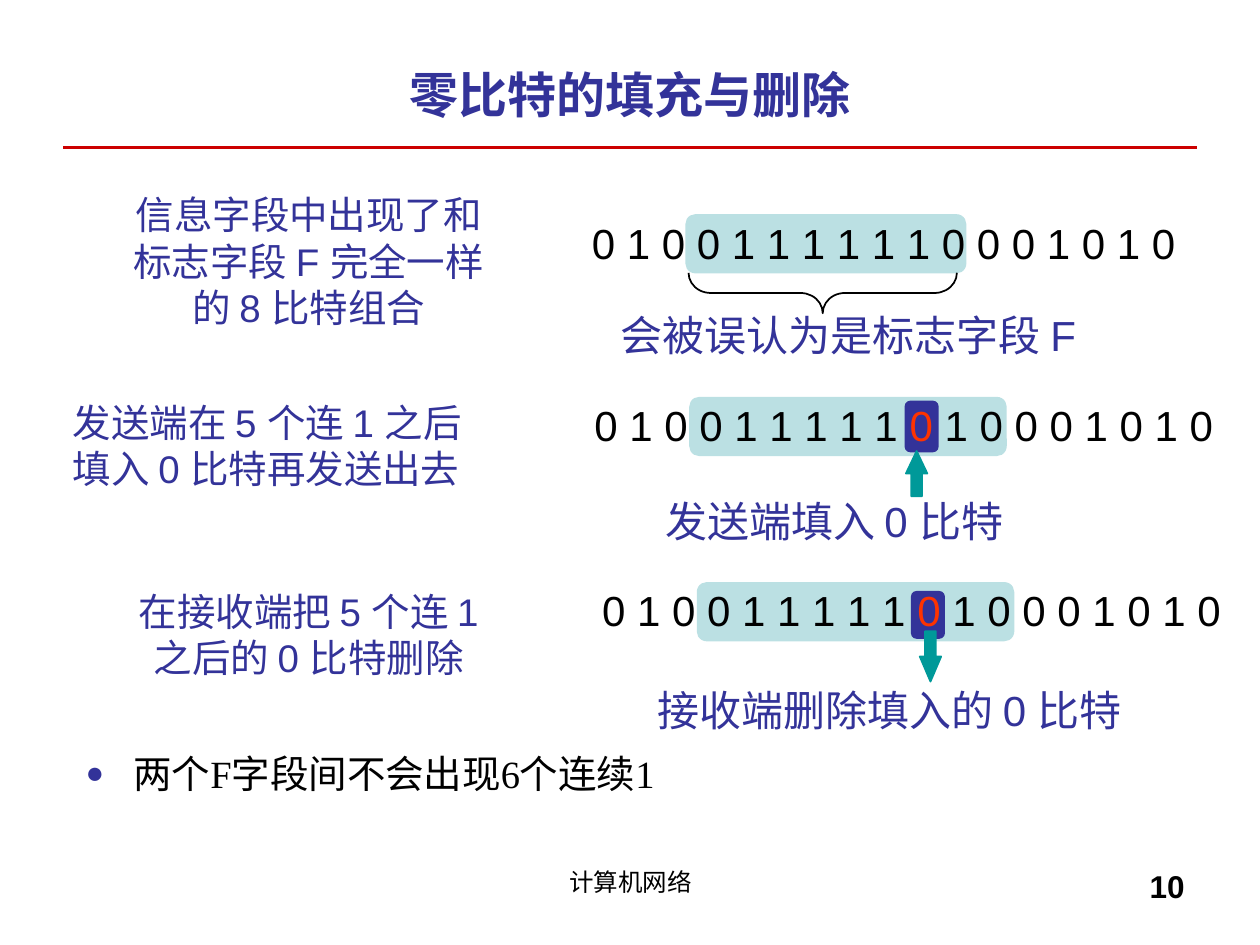
from dataclasses import dataclass
from typing import Optional

from lxml import etree
from pptx import Presentation
from pptx.dml.color import RGBColor
from pptx.enum.shapes import MSO_CONNECTOR, MSO_SHAPE
from pptx.enum.text import MSO_ANCHOR, MSO_AUTO_SIZE, PP_ALIGN
from pptx.oxml.ns import qn
from pptx.util import Inches, Pt

LEFT, CENTER, RIGHT = PP_ALIGN.LEFT, PP_ALIGN.CENTER, PP_ALIGN.RIGHT
MIDDLE = MSO_ANCHOR.MIDDLE
FIXED = MSO_AUTO_SIZE.NONE
ROUNDED, BRACE = MSO_SHAPE.ROUNDED_RECTANGLE, MSO_SHAPE.LEFT_BRACE
UP, DOWN = MSO_SHAPE.UP_ARROW, MSO_SHAPE.DOWN_ARROW
STRAIGHT = MSO_CONNECTOR.STRAIGHT


@dataclass(frozen=True)
class Theme:
    navy: str = "333399"
    black: str = "000000"
    red: str = "CC0000"
    orange: str = "FF3300"
    teal: str = "009999"
    pale: str = "BBE0E3"
    sans: str = "Arial"
    serif: str = "Times New Roman"
    title: int = 28
    bits: int = 24
    body: int = 22
    number: int = 18
    footer: int = 14


@dataclass(frozen=True)
class Area:
    left: float
    top: float
    width: float
    height: float

    def lengths(self):
        return [Inches(v) for v in (self.left, self.top, self.width, self.height)]


@dataclass(frozen=True)
class Label:
    text: str
    area: Area
    size: int
    color: str
    align: PP_ALIGN = LEFT
    accent_at: Optional[int] = None


@dataclass(frozen=True)
class Block:
    kind: MSO_SHAPE
    area: Area
    fill: Optional[str] = None
    line: Optional[str] = None
    adjustments: tuple = ()
    rotation: int = 0


THEME = Theme()
STUFFED = "0 1 0 0 1 1 1 1 1 0 1 0 0 0 1 0 1 0"
STUFFED_AT = 18
CORNER = (0.167,)

BLOCKS = [
    Block(ROUNDED, Area(5.44, 1.7, 2.23, 0.47), THEME.pale, None, CORNER),
    Block(ROUNDED, Area(5.47, 3.15, 2.52, 0.47), THEME.pale, None, CORNER),
    Block(ROUNDED, Area(5.53, 4.62, 2.52, 0.47), THEME.pale, None, CORNER),
    Block(ROUNDED, Area(7.18, 3.18, 0.27, 0.41), THEME.navy, None, CORNER),
    Block(ROUNDED, Area(7.23, 4.69, 0.27, 0.38), THEME.navy, None, CORNER),
]
LABELS = [
    Label("0 1 0 0 1 1 1 1 1 1 0 0 0 1 0 1 0", Area(4.6, 1.68, 4.9, 0.5),
          THEME.bits, THEME.black),
    Label(STUFFED, Area(4.62, 3.12, 5.2, 0.5), THEME.bits, THEME.black,
          accent_at=STUFFED_AT),
    Label(STUFFED, Area(4.68, 4.59, 5.2, 0.5), THEME.bits, THEME.black,
          accent_at=STUFFED_AT),
    Label("信息字段中出现了和\n标志字段 F 完全一样\n的 8 比特组合",
          Area(0.85, 1.47, 3.2, 1.2), THEME.body, THEME.navy, CENTER),
    Label("发送端在 5 个连 1 之后\n填入 0 比特再发送出去",
          Area(0.48, 3.12, 3.7, 0.83), THEME.body, THEME.navy),
    Label("在接收端把 5 个连 1\n之后的 0 比特删除",
          Area(0.85, 4.62, 3.2, 0.83), THEME.body, THEME.navy, CENTER),
    Label("会被误认为是标志字段 F", Area(4.83, 2.41, 4.1, 0.5), THEME.bits, THEME.navy),
    Label("发送端填入 0 比特", Area(5.18, 3.88, 3.15, 0.5), THEME.bits, THEME.navy),
    Label("接收端删除填入的 0 比特", Area(5.12, 5.38, 4.15, 0.5), THEME.bits, THEME.navy),
]
MARKERS = [
    Block(UP, Area(7.19, 3.58, 0.17, 0.36), THEME.teal, THEME.teal, (0.5, 1.05)),
    Block(DOWN, Area(7.3, 5.01, 0.17, 0.4), THEME.teal, THEME.teal, (0.5, 1.17)),
    Block(BRACE, Area(6.37, 1.26, 0.32, 2.13), None, THEME.black, (0.55, 0.5), 270),
]


def color_of(code: str) -> RGBColor:
    return RGBColor.from_string(code)


def write_text(frame, text: str, *, size: int, color: str, font: str = THEME.sans,
               bold: bool = False, align: PP_ALIGN = LEFT,
               accent_at: Optional[int] = None) -> None:
    for index, words in enumerate(text.split("\n")):
        para = frame.paragraphs[0] if index == 0 else frame.add_paragraph()
        para.alignment = align
        spans = [(words, color)]
        if accent_at is not None:
            spans = [(words[:accent_at], color),
                     (words[accent_at], THEME.orange),
                     (words[accent_at + 1:], color)]
        for part, shade in spans:
            span = para.add_run()
            span.text = part
            span.font.name = font
            span.font.size = Pt(size)
            span.font.bold = bold
            span.font.color.rgb = color_of(shade)


def place(box, area: Area) -> None:
    box.left, box.top, box.width, box.height = area.lengths()


def draw_label(page, label: Label) -> None:
    frame = page.shapes.add_textbox(*label.area.lengths()).text_frame
    frame.word_wrap = True
    frame.auto_size = FIXED
    write_text(frame, label.text, size=label.size, color=label.color,
               align=label.align, accent_at=label.accent_at)


def draw_block(page, block: Block) -> None:
    box = page.shapes.add_shape(block.kind, *block.area.lengths())
    box.shadow.inherit = False
    box.rotation = block.rotation
    for index, value in enumerate(block.adjustments):
        box.adjustments[index] = value
    if block.fill:
        box.fill.solid()
        box.fill.fore_color.rgb = color_of(block.fill)
    else:
        box.fill.background()
    if block.line:
        box.line.color.rgb = color_of(block.line)
        box.line.width = Pt(1)
    else:
        box.line.fill.background()


def draw_rule(page) -> None:
    rule = page.shapes.add_connector(
        STRAIGHT, Inches(0.5), Inches(1.17), Inches(9.5), Inches(1.17))
    rule.line.color.rgb = color_of(THEME.red)
    rule.line.width = Pt(2)
    etree.SubElement(rule.element.spPr, qn("a:effectLst"))


def add_bullet(para) -> None:
    props = para._p.get_or_add_pPr()
    props.set("marL", str(Inches(0.38)))
    props.set("indent", str(-Inches(0.38)))
    shade = etree.SubElement(props, qn("a:buClr"))
    etree.SubElement(shade, qn("a:srgbClr"), val=THEME.navy)
    etree.SubElement(props, qn("a:buSzPct"), val="80000")
    etree.SubElement(props, qn("a:buFont"), typeface=THEME.sans)
    etree.SubElement(props, qn("a:buChar"), char="●")


def fill_placeholders(page) -> None:
    title, body = page.shapes.title, page.placeholders[1]
    place(title, Area(0.5, 0.33, 9, 0.83))
    title.text_frame.vertical_anchor = MIDDLE
    title.text_frame.auto_size = FIXED
    write_text(title.text_frame, "零比特的填充与删除", size=THEME.title,
               color=THEME.navy, font=THEME.serif, bold=True, align=CENTER)
    place(body, Area(0.58, 5.83, 8.92, 0.92))
    body.text_frame.auto_size = FIXED
    para = body.text_frame.paragraphs[0]
    para.line_spacing = 1.2
    para.space_before = Pt(0)
    add_bullet(para)
    write_text(body.text_frame, "两个F字段间不会出现6个连续1", size=THEME.body,
               color=THEME.black, font=THEME.serif)


def draw_footer(page) -> None:
    footer = page.shapes.add_textbox(*Area(3.42, 6.83, 3.17, 0.52).lengths())
    number = page.shapes.add_textbox(*Area(7.17, 6.83, 2.33, 0.52).lengths())
    footer.text_frame.word_wrap = number.text_frame.word_wrap = True
    write_text(footer.text_frame, "计算机网络", size=THEME.footer,
               color=THEME.black, align=CENTER)
    write_text(number.text_frame, "10", size=THEME.number, color=THEME.black,
               bold=True, align=RIGHT)


def main() -> None:
    deck = Presentation()
    deck.slide_width, deck.slide_height = Inches(10), Inches(7.5)
    page = deck.slides.add_slide(deck.slide_layouts[1])
    draw_rule(page)
    fill_placeholders(page)
    draw_footer(page)
    for block in BLOCKS:
        draw_block(page, block)
    for label in LABELS:
        draw_label(page, label)
    for marker in MARKERS:
        draw_block(page, marker)
    deck.save("out.pptx")


if __name__ == "__main__":
    main()
